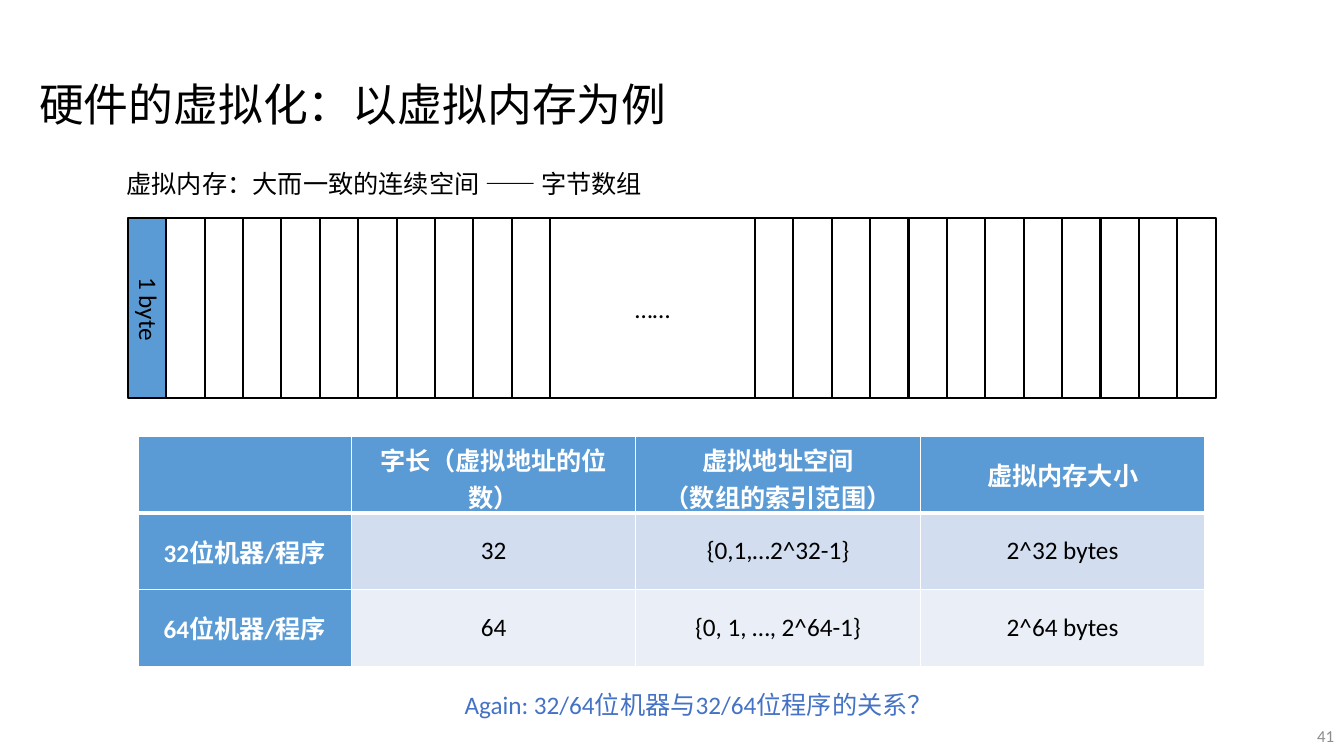
from dataclasses import dataclass

from lxml import etree
from pptx import Presentation
from pptx import util as u
from pptx.dml.color import RGBColor
from pptx.enum import shapes, text
from pptx.oxml.ns import qn


@dataclass(frozen=True)
class Theme:
    latin: str = "Calibri"
    asian: str = "Noto Sans CJK SC"
    ink: str = "000000"
    paper: str = "FFFFFF"
    blue: str = "5B9BD5"
    question: str = "4472C4"
    muted: str = "8C8C8C"
    bands: tuple = ("D2DEEF", "EAEFF7")
    title: int = 32
    body: int = 18
    small: int = 12
    outline: float = 1.5
    rule: int = 1
    header_rule: int = 3


THEME = Theme()
COLS, ROWS = 35, 30  # one column is as wide as one byte cell
LEFT, MIDDLE, RIGHT = text.PP_ALIGN.LEFT, text.PP_ALIGN.CENTER, text.PP_ALIGN.RIGHT


def write(tf, content, *, size=THEME.body, color=THEME.ink, bold=False,
          font=THEME.latin, align=LEFT):
    """Fill a text frame, one paragraph per line of content."""
    for i, line in enumerate(content.split("\n")):
        p = tf.add_paragraph() if i else tf.paragraphs[0]
        p.alignment = align
        r = p.add_run()
        r.text = line
        r.font.size = u.Pt(size)
        r.font.bold = bold
        r.font.name = font
        r.font.color.rgb = RGBColor.from_string(color)
        etree.SubElement(r.font._element, qn("a:ea"), typeface=THEME.asian)


class Deck:
    """Draws on one slide, with lengths in grid columns and rows."""

    def __init__(self, theme):
        self.theme = theme
        self.prs = Presentation()
        self.prs.slide_width, self.prs.slide_height = u.Inches(13.333), u.Inches(7.5)
        self.s = self.prs.slides.add_slide(self.prs.slide_layouts[6])

    def x(self, cols):
        return round(self.prs.slide_width * cols / COLS)

    def y(self, rows):
        return round(self.prs.slide_height * rows / ROWS)

    def box(self, left, top, width, height):
        return self.x(left), self.y(top), self.x(width), self.y(height)

    def label(self, content, *place, wrap=False, grow=True, rotation=0,
              anchor=text.MSO_ANCHOR.TOP, **fmt):
        sp = self.s.shapes.add_textbox(*self.box(*place))
        sp.rotation = rotation
        tf = sp.text_frame
        tf.word_wrap = wrap
        tf.auto_size = (text.MSO_AUTO_SIZE.SHAPE_TO_FIT_TEXT if grow
                        else text.MSO_AUTO_SIZE.NONE)
        tf.vertical_anchor = anchor
        write(tf, content, **fmt)

    def cell_box(self, *place, fill=None, content=None):
        sp = self.s.shapes.add_shape(shapes.MSO_SHAPE.RECTANGLE, *self.box(*place))
        sp.shadow.inherit = False
        if fill:
            sp.fill.solid()
            sp.fill.fore_color.rgb = RGBColor.from_string(fill)
        else:
            sp.fill.background()
        sp.line.color.rgb = RGBColor.from_string(self.theme.ink)
        sp.line.width = u.Pt(self.theme.outline)
        if content:
            sp.text_frame.vertical_anchor = text.MSO_ANCHOR.MIDDLE
            write(sp.text_frame, content, align=MIDDLE)

    def border(self, cell, side, width):
        tc_pr = cell._tc.get_or_add_tcPr()
        ln = etree.SubElement(tc_pr, qn(f"a:ln{side}"), w=str(u.Pt(width)))
        fill = etree.SubElement(ln, qn("a:solidFill"))
        etree.SubElement(fill, qn("a:srgbClr"), val=self.theme.paper)

    def table(self, rows, left, top, widths, row_height):
        t = self.theme
        place = self.box(left, top, sum(widths), row_height * len(rows))
        table = self.s.shapes.add_table(len(rows), len(widths), *place).table
        table.first_col = True
        for column, width in zip(table.columns, widths):
            column.width = self.x(width)
        for i, row in enumerate(rows):
            table.rows[i].height = self.y(row_height)
            for j, content in enumerate(row):
                cell = table.cell(i, j)
                heading = i == 0 or j == 0
                for side in "LRTB":
                    thick = (i, side) in ((0, "B"), (1, "T"))
                    self.border(cell, side, t.header_rule if thick else t.rule)
                cell.fill.solid()
                cell.fill.fore_color.rgb = RGBColor.from_string(
                    t.blue if heading else t.bands[i - 1])
                cell.vertical_anchor = text.MSO_ANCHOR.MIDDLE
                if content:
                    write(cell.text_frame, content, bold=heading, align=MIDDLE,
                          color=t.paper if heading else t.ink)


def main():
    deck = Deck(THEME)
    deck.label("41", 27.12, 28.4, 7.88, 1.6, wrap=True, grow=False, align=RIGHT,
               anchor=text.MSO_ANCHOR.MIDDLE, size=THEME.small, color=THEME.muted)
    deck.label("硬件的虚拟化：以虚拟内存为例", 0.76, 2.84, 22.68, 2.56,
               wrap=True, size=THEME.title)

    first, top, height = 3.33, 8.64, 7.16
    before, gap, after = 11, 5.33, 12
    for i in range(before):
        deck.cell_box(first + i, top, 1, height, fill=None if i else THEME.blue)
    deck.cell_box(first + before, top, gap, height, content="……")
    for i in range(after):
        deck.cell_box(first + before + gap + i, top, 1, height)

    deck.label("虚拟内存：大而一致的连续空间 —— 字节数组", 3.04, 6.48, 14.44, 1.6,
               font=THEME.asian)
    deck.label("1 byte", 2.78, 11.48, 2.2, 1.6, rotation=90)

    deck.table([
        ["", "字长（虚拟地址的位数）", "虚拟地址空间\n（数组的索引范围）", "虚拟内存大小"],
        ["32位机器/程序", "32", "{0,1,…2^32-1}", "2^32 bytes"],
        ["64位机器/程序", "64", "{0, 1, …, 2^64-1}", "2^64 bytes"],
    ], 3.6, 17.32, [5.55, 7.41, 7.41, 7.41], 3.04)

    deck.label("Again: 32/64位机器与32/64位程序的关系？", 11.84, 27.16, 12.86, 1.6,
               color=THEME.question)
    deck.prs.save("out.pptx")


if __name__ == "__main__":
    main()
